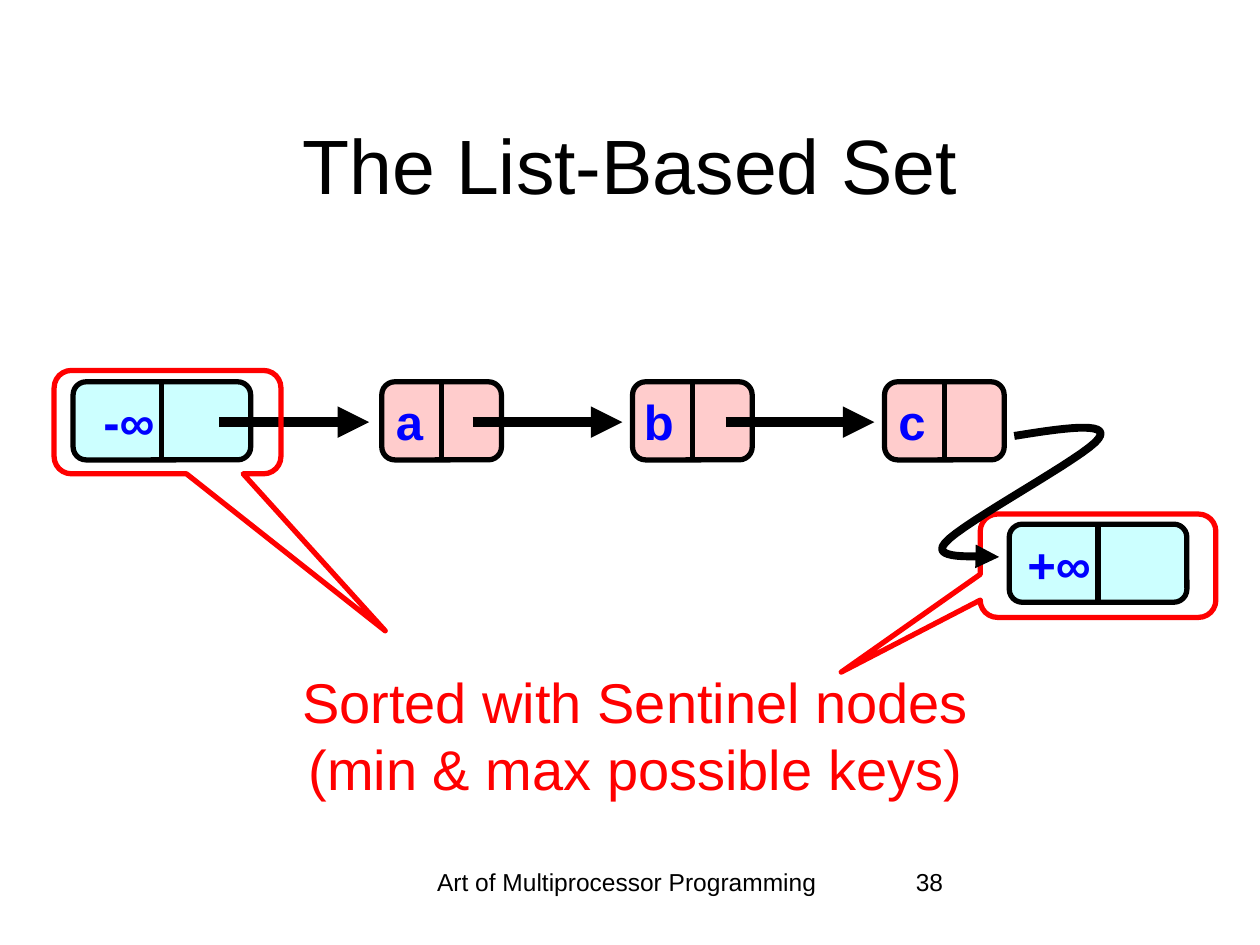
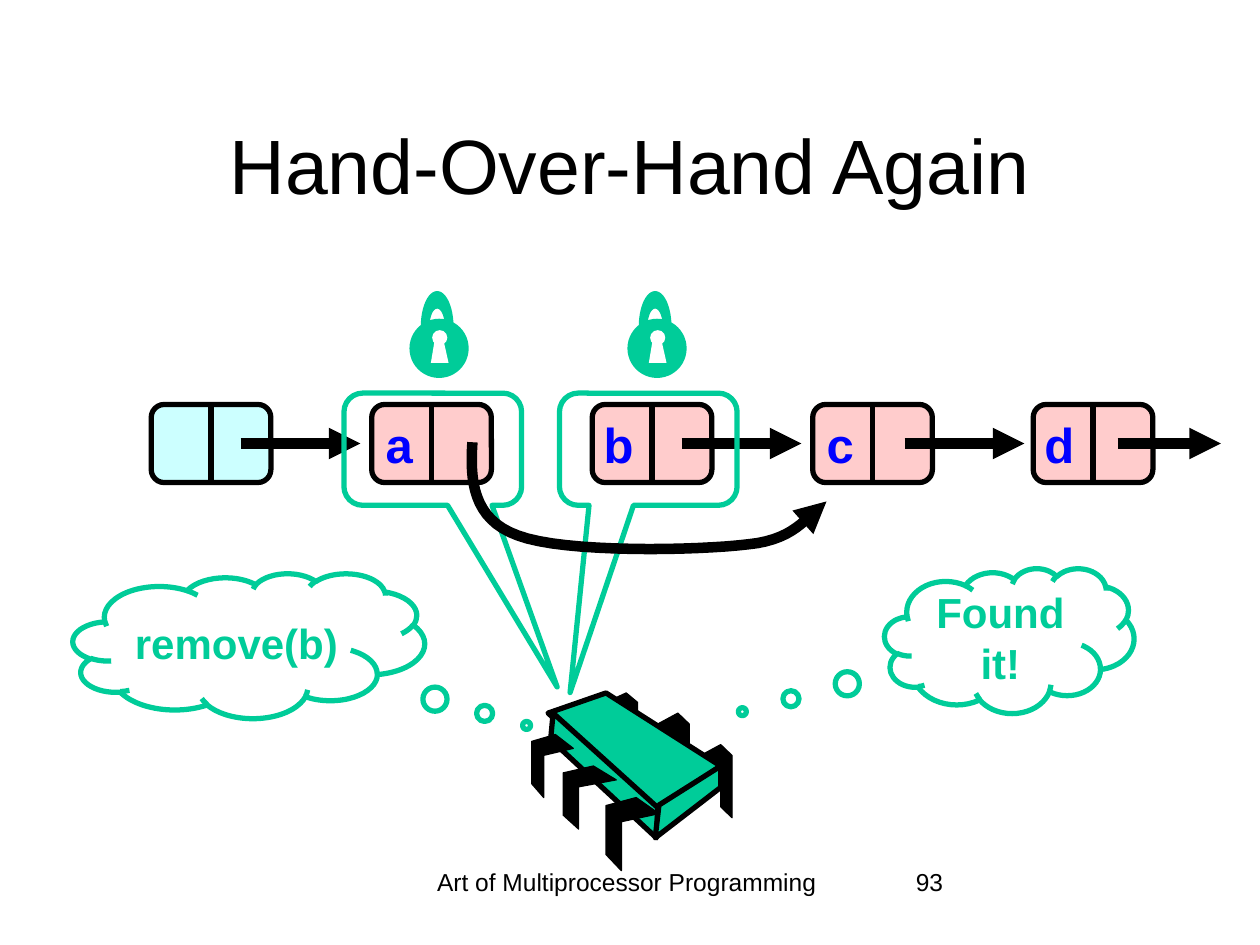
"""Build two slides on list-based sets: sentinel nodes and hand-over-hand locking."""
from math import cos, pi, sin

from lxml.etree import SubElement
from pptx import Presentation
from pptx.dml.color import RGBColor
from pptx.enum.shapes import MSO_CONNECTOR, MSO_SHAPE
from pptx.enum.text import MSO_ANCHOR, PP_ALIGN
from pptx.oxml.ns import qn
from pptx.util import Inches, Pt

COLORS = {
    "ink": "000000",
    "paper": "FFFFFF",
    "sentinel": "CCFFFF",
    "node": "FFCCCC",
    "key": "0000FF",
    "alert": "FF0000",
    "thread": "00CC99",
}
FONT = "Arial"
NODE_HEIGHT = 0.62


def paint(shape, fill=None, line=None, width=3, arrow=False):
    if line:
        shape.line.color.rgb = RGBColor.from_string(COLORS[line])
        shape.line.width = Pt(width)
    else:
        shape.line.fill.background()
    if arrow:
        SubElement(shape.element.spPr.find(qn("a:ln")), qn("a:tailEnd"), type="triangle")
    if not hasattr(shape, "fill"):
        SubElement(shape.element.spPr, qn("a:effectLst"))
        return
    shape.shadow.inherit = False
    if fill:
        shape.fill.solid()
        shape.fill.fore_color.rgb = RGBColor.from_string(COLORS[fill])
    else:
        shape.fill.background()


def write(box, lines, size, color="ink", bold=False, align=PP_ALIGN.CENTER, anchor=MSO_ANCHOR.TOP):
    frame = box.text_frame
    frame.word_wrap = True
    frame.vertical_anchor = anchor
    for index, line in enumerate(lines):
        para = frame.add_paragraph() if index else frame.paragraphs[0]
        para.alignment = align
        span = para.add_run()
        span.text = line
        span.font.name = FONT
        span.font.size = Pt(size)
        span.font.bold = bold
        span.font.color.rgb = RGBColor.from_string(COLORS[color])


deck = Presentation()
deck.slide_width = Inches(10)
deck.slide_height = Inches(7.5)

slides = [
    {
        "title": "The List-Based Set",
        "number": "38",
        "nodes": [
            ("-∞", 0.58, 3.03, 1.41, "sentinel"),
            ("a", 3.03, 3.03, 0.95, "node"),
            ("b", 5.02, 3.03, 0.95, "node"),
            ("c", 7.02, 3.03, 0.95, "node"),
            ("+∞", 8.01, 4.16, 1.41, "sentinel"),
        ],
        "arrows": [(1.74, 2.93), (3.75, 4.94), (5.76, 6.94)],
        "arrow_y": 3.35,
        "callouts": [
            (0.43, 2.94, 1.8, 0.82, 0.96, 2.02),
            (7.78, 4.08, 1.87, 0.82, -1.09, 1.03),
        ],
        "callout_color": "alert",
        "curve": [
            (8.05, 3.46), (8.42, 3.4), (8.82, 3.34), (8.72, 3.48), (8.63, 3.62),
            (7.63, 4.15), (7.5, 4.31), (7.37, 4.46), (7.84, 4.4), (7.93, 4.42),
        ],
        "curve_width": 4.5,
    },
    {
        "title": "Hand-Over-Hand Again",
        "number": "93",
        "nodes": [
            (key, 1.2 + 1.75 * index, 3.21, 0.95, "node" if key else "sentinel")
            for index, key in enumerate(["", "a", "b", "c", "d"])
        ],
        "arrows": [(1.91, 2.86), (5.41, 6.36), (7.18, 8.13), (8.87, 9.69)],
        "arrow_y": 3.52,
        "callouts": [
            (2.73, 3.12, 1.41, 0.89, 0.7, 2.12),
            (4.44, 3.12, 1.41, 0.89, -0.44, 2.17),
        ],
        "callout_color": "thread",
        "curve": [
            (3.75, 3.51), (3.73, 3.81), (3.75, 4.12), (4.11, 4.25), (4.48, 4.39),
            (5.53, 4.37), (5.94, 4.32), (6.35, 4.28), (6.43, 4.05), (6.56, 3.98),
        ],
        "curve_width": 6,
    },
]

pages = []
for content in slides:
    page = deck.slides.add_slide(deck.slide_layouts[6])
    pages.append(page)
    box = page.shapes.add_textbox(Inches(3.1), Inches(6.83), Inches(3.75), Inches(0.5))
    write(box, ["Art of Multiprocessor Programming"], 14)
    box = page.shapes.add_textbox(Inches(7.17), Inches(6.83), Inches(2.08), Inches(0.5))
    write(box, [content["number"]], 14, align=PP_ALIGN.LEFT)
    box = page.shapes.add_textbox(Inches(0.75), Inches(0.67), Inches(8.5), Inches(1.25))
    write(box, [content["title"]], 44, anchor=MSO_ANCHOR.MIDDLE)

    for key, left, top, width, fill in content["nodes"]:
        node = page.shapes.add_shape(
            MSO_SHAPE.ROUNDED_RECTANGLE, Inches(left), Inches(top), Inches(width), Inches(NODE_HEIGHT)
        )
        node.adjustments[0] = 0.167
        paint(node, fill, "ink")
        middle = left + width / 2
        divider = page.shapes.add_connector(
            MSO_CONNECTOR.STRAIGHT, Inches(middle), Inches(top), Inches(middle), Inches(top + NODE_HEIGHT)
        )
        divider.begin_connect(node, 0)
        divider.end_connect(node, 2)
        paint(divider, line="ink")
        if key:
            right = middle + (0.04 if len(key) > 1 else -0.05)
            box = page.shapes.add_textbox(Inches(right - 0.75), Inches(top + 0.03), Inches(0.75), Inches(0.57))
            write(box, [key], 28, "key", True, PP_ALIGN.RIGHT)

    for start, end in content["arrows"]:
        arrow = page.shapes.add_connector(
            MSO_CONNECTOR.STRAIGHT,
            Inches(start), Inches(content["arrow_y"]), Inches(end), Inches(content["arrow_y"]),
        )
        paint(arrow, line="ink", width=6, arrow=True)

    for left, top, width, height, tip_x, tip_y in content["callouts"]:
        callout = page.shapes.add_shape(
            MSO_SHAPE.ROUNDED_RECTANGULAR_CALLOUT, Inches(left), Inches(top), Inches(width), Inches(height)
        )
        for index, value in enumerate([tip_x, tip_y, 0.167]):
            callout.adjustments[index] = value
        paint(callout, line=content["callout_color"])

    controls = content["curve"]
    points = [(Inches(controls[0][0]), Inches(controls[0][1]))]
    for first in range(0, len(controls) - 1, 3):
        for step in range(1, 17):
            t = step / 16
            weights = [(1 - t) ** 3, 3 * t * (1 - t) ** 2, 3 * t * t * (1 - t), t ** 3]
            points.append(tuple(
                Inches(sum(weight * control[axis] for weight, control in zip(weights, controls[first:first + 4])))
                for axis in (0, 1)
            ))
    builder = page.shapes.build_freeform(*points[0])
    builder.add_line_segments(points[1:], close=False)
    paint(builder.convert_to_shape(), line="ink", width=content["curve_width"], arrow=True)

sentinel_page, locking_page = pages
box = sentinel_page.shapes.add_textbox(Inches(0.88), Inches(5.25), Inches(8.33), Inches(1.17))
write(box, ["Sorted with Sentinel nodes", "(min & max possible keys)"], 32, "alert")

back_leg = [(0, 0.15), (0.64, 0), (1, 0.15), (1, 1), (0.64, 0.85), (0.64, 0.28), (0, 0.43)]
front_leg = [(0.57, 0), (1, 0.22), (0.29, 0.33), (0.29, 1), (0, 0.78), (0, 0.11)]
legs = [
    (back_leg, 5.56, 5.91, 0.25, 0.58),
    (back_leg, 5.22, 5.66, 0.25, 0.58),
    (back_leg, 4.81, 5.5, 0.25, 0.5),
    (front_leg, 4.81, 6.33, 0.42, 0.58),
    (front_leg, 4.47, 6.08, 0.42, 0.5),
    (front_leg, 4.22, 5.83, 0.33, 0.5),
]
leg_outlines = [
    ([(left + x * width, top + y * height) for x, y in leg], "ink", "ink", 0.75)
    for leg, left, top, width, height in legs
]
chip_faces = [
    ([(4.81, 5.5), (5.72, 6.08), (5.21, 6.43), (4.35, 5.66)], "thread", "ink", 3),
    ([(4.39, 5.66), (5.22, 6.41), (5.21, 6.65), (4.37, 5.87)], "thread", "ink", 3),
    ([(5.72, 6.08), (5.72, 6.25), (5.2, 6.65), (5.23, 6.39)], "thread", "ink", 3),
]
outlines = leg_outlines[:3] + chip_faces + leg_outlines[3:]

for lock_left in (3.25, 4.98):
    for inset, top, size, fill in [(0, 2.53, 0.47, "thread"), (0.18, 2.62, 0.12, "paper")]:
        disc = locking_page.shapes.add_shape(
            MSO_SHAPE.OVAL, Inches(lock_left + inset), Inches(top), Inches(size), Inches(size)
        )
        paint(disc, fill)
    slot = [(0.17, 2.88), (0.2, 2.7), (0.27, 2.7), (0.31, 2.88)]
    outlines.append(([(lock_left + x, y) for x, y in slot], "paper", None, 0))
    angles = [pi * step / 24 for step in range(25)]
    center = lock_left + 0.22
    outer = [(center + 0.13 * cos(angle), 2.59 - 0.28 * sin(angle)) for angle in angles]
    inner = [(center + 0.06 * cos(angle), 2.59 - 0.14 * sin(angle)) for angle in reversed(angles)]
    outlines.append((outer + inner, "thread", None, 0))

for outline, fill, line, width in outlines:
    points = [(Inches(x), Inches(y)) for x, y in outline]
    builder = locking_page.shapes.build_freeform(*points[0])
    builder.add_line_segments(points[1:], close=True)
    paint(builder.convert_to_shape(), fill, line, width)

thoughts = [
    ("remove(b)", 0.58, 4.55, 2.79, 0.79, 0.55),
    ("Found it!", 7.02, 4.51, 1.98, -1.07, 0.49),
]
for thought, left, top, width, tip_x, tip_y in thoughts:
    cloud = locking_page.shapes.add_shape(
        MSO_SHAPE.CLOUD_CALLOUT, Inches(left), Inches(top), Inches(width), Inches(1.15)
    )
    cloud.adjustments[0] = tip_x
    cloud.adjustments[1] = tip_y
    paint(cloud, line="thread")
    write(cloud, [thought], 24, "thread", True, anchor=MSO_ANCHOR.MIDDLE)

deck.save("out.pptx")
